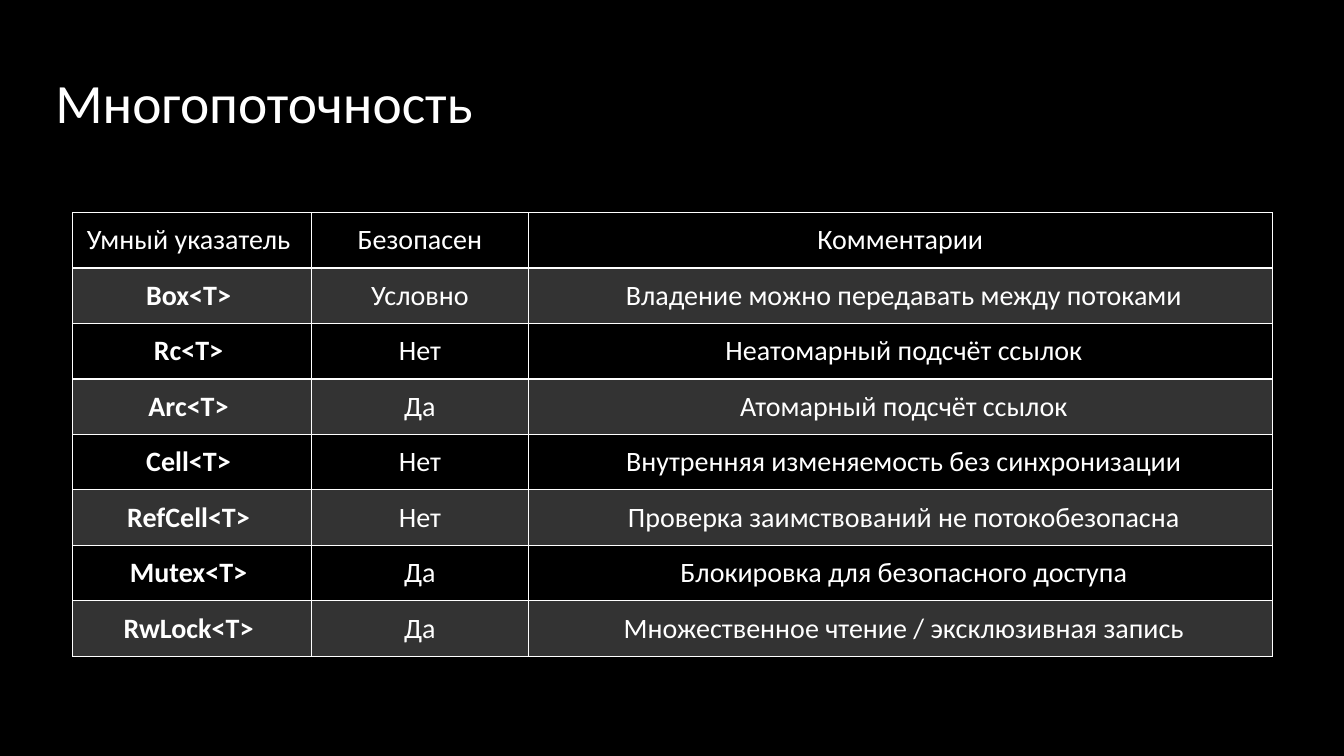
from lxml import etree
from pptx import Presentation
from pptx.dml.color import RGBColor
from pptx.enum.text import MSO_ANCHOR, PP_ALIGN
from pptx.oxml.ns import qn
from pptx.util import Inches, Pt

CENTER = PP_ALIGN.CENTER
TOP, MIDDLE = MSO_ANCHOR.TOP, MSO_ANCHOR.MIDDLE

BLACK = RGBColor(0x00, 0x00, 0x00)
WHITE = RGBColor(0xFF, 0xFF, 0xFF)

HEADER = ("Умный указатель", "Безопасен", "Комментарии")
POINTERS = [
    ("Box<T>", "Условно", "Владение можно передавать между потоками"),
    ("Rc<T>", "Нет", "Неатомарный подсчёт ссылок"),
    ("Arc<T>", "Да", "Атомарный подсчёт ссылок"),
    ("Cell<T>", "Нет", "Внутренняя изменяемость без синхронизации"),
    ("RefCell<T>", "Нет", "Проверка заимствований не потокобезопасна"),
    ("Mutex<T>", "Да", "Блокировка для безопасного доступа"),
    ("RwLock<T>", "Да", "Множественное чтение / эксклюзивная запись"),
]
COLUMN_WIDTHS = (2.37, 2.15, 7.38)
ROW_HEIGHT = 0.55
OUTER_INSET, INNER_INSET = 0.1, 0.17


def set_all(target, values):
    for name, value in values.items():
        setattr(target, name, value)


class SlideBuilder:
    font_name = "Calibri"
    text_color = WHITE
    border_color = WHITE
    band_opacity = 20

    def __init__(self, slide):
        self.slide = slide

    def background(self, color):
        fill = self.slide.background.fill
        fill.solid()
        fill.fore_color.rgb = color

    def add_text(self, frame, text, size, bold=False, **paragraph_format):
        paragraph = frame.paragraphs[0]
        set_all(paragraph, paragraph_format)
        run = paragraph.add_run()
        run.text = text
        set_all(run.font, {"name": self.font_name, "size": Pt(size), "bold": bold})
        run.font.color.rgb = self.text_color

    def title(self, text, left, top, width, height):
        box = self.slide.shapes.add_textbox(
            Inches(left), Inches(top), Inches(width), Inches(height))
        inset = Inches(0.1)
        set_all(box.text_frame, {
            "word_wrap": True, "vertical_anchor": TOP,
            "margin_left": inset, "margin_right": inset,
            "margin_top": inset, "margin_bottom": inset})
        self.add_text(box.text_frame, text, 39.6, line_spacing=0.9)

    def border(self, cell, side, points):
        line = etree.SubElement(cell._tc.get_or_add_tcPr(), qn(f"a:ln{side}"),
                                w=str(Pt(points)))
        solid = etree.SubElement(line, qn("a:solidFill"))
        etree.SubElement(solid, qn("a:srgbClr"), val=str(self.border_color))

    def band(self, cell):
        """Fill the cell with translucent white."""
        cell.fill.solid()
        cell.fill.fore_color.rgb = WHITE
        color = cell._tc.tcPr.find(qn("a:solidFill")).find(qn("a:srgbClr"))
        etree.SubElement(color, qn("a:alpha"), val=str(self.band_opacity * 1000))

    def table(self, rows, left, top, widths, row_height):
        table = self.slide.shapes.add_table(
            len(rows), len(widths), Inches(left), Inches(top),
            Inches(sum(widths)), Inches(row_height * len(rows))).table
        set_all(table, {"first_row": False, "horz_banding": False})
        for column, width in zip(table.columns, widths):
            column.width = Inches(width)
        for row_index, texts in enumerate(rows):
            table.rows[row_index].height = Inches(row_height)
            for column_index, text in enumerate(texts):
                self.table_cell(table.cell(row_index, column_index), text,
                                row_index, column_index, len(widths) - 1)

    def table_cell(self, cell, text, row, column, last_column):
        is_header = row == 0
        at_right_edge = column == last_column and not is_header
        set_all(cell, {
            "vertical_anchor": MIDDLE,
            "margin_left": Inches(INNER_INSET if column else OUTER_INSET),
            "margin_right": Inches(OUTER_INSET if at_right_edge else INNER_INSET),
            "margin_top": Inches(OUTER_INSET),
            "margin_bottom": Inches(OUTER_INSET)})
        self.add_text(cell.text_frame, text, 20,
                      bold=column == 0 and not is_header, alignment=CENTER)
        for side, points in {"L": 1, "R": 1, "T": 2 if row == 1 else 1,
                             "B": 2 if is_header else 1}.items():
            self.border(cell, side, points)
        if row % 2:
            self.band(cell)
        else:
            cell.fill.background()


def main():
    presentation = Presentation()
    set_all(presentation, {"slide_width": Inches(13.33), "slide_height": Inches(7.5)})
    builder = SlideBuilder(presentation.slides.add_slide(presentation.slide_layouts[6]))
    builder.background(BLACK)
    builder.title("Многопоточность", 0.45, 0.65, 12.42, 0.84)
    builder.table([HEADER, *POINTERS], 0.72, 2.11, COLUMN_WIDTHS, ROW_HEIGHT)
    presentation.save("out.pptx")


if __name__ == "__main__":
    main()
